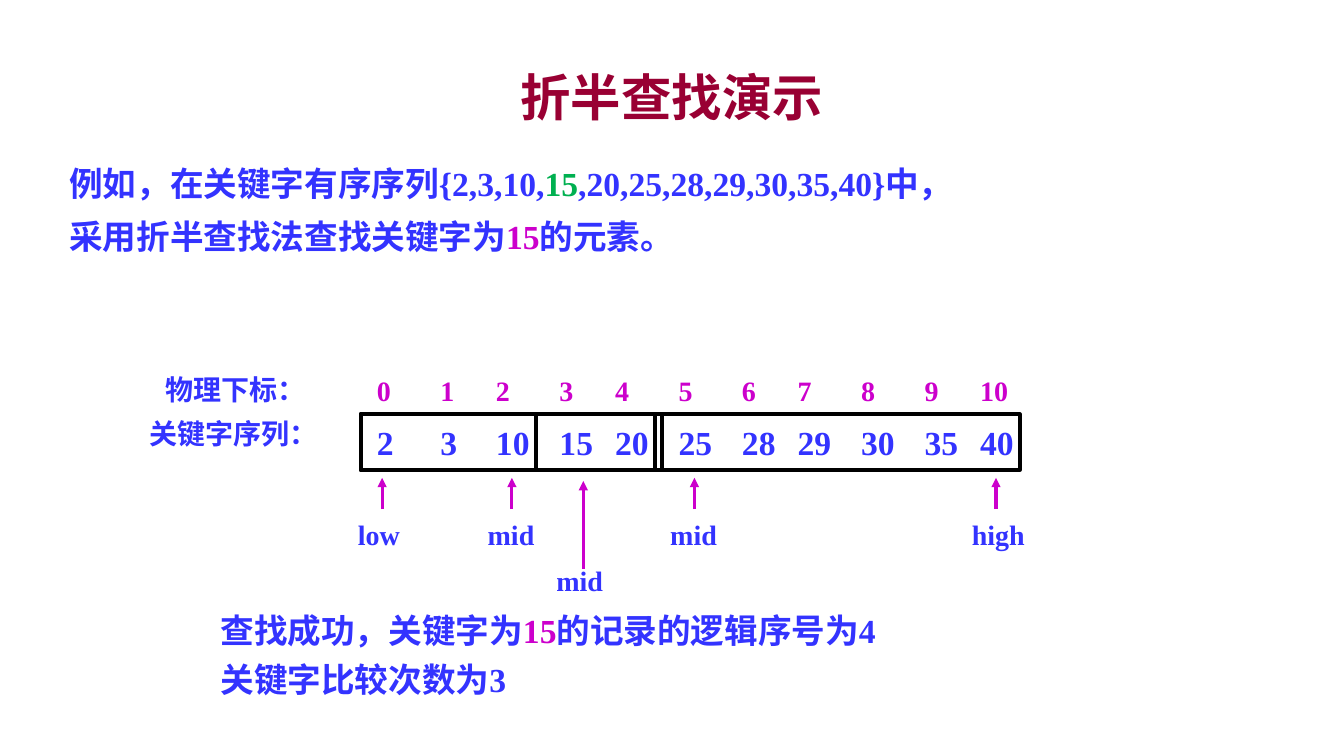
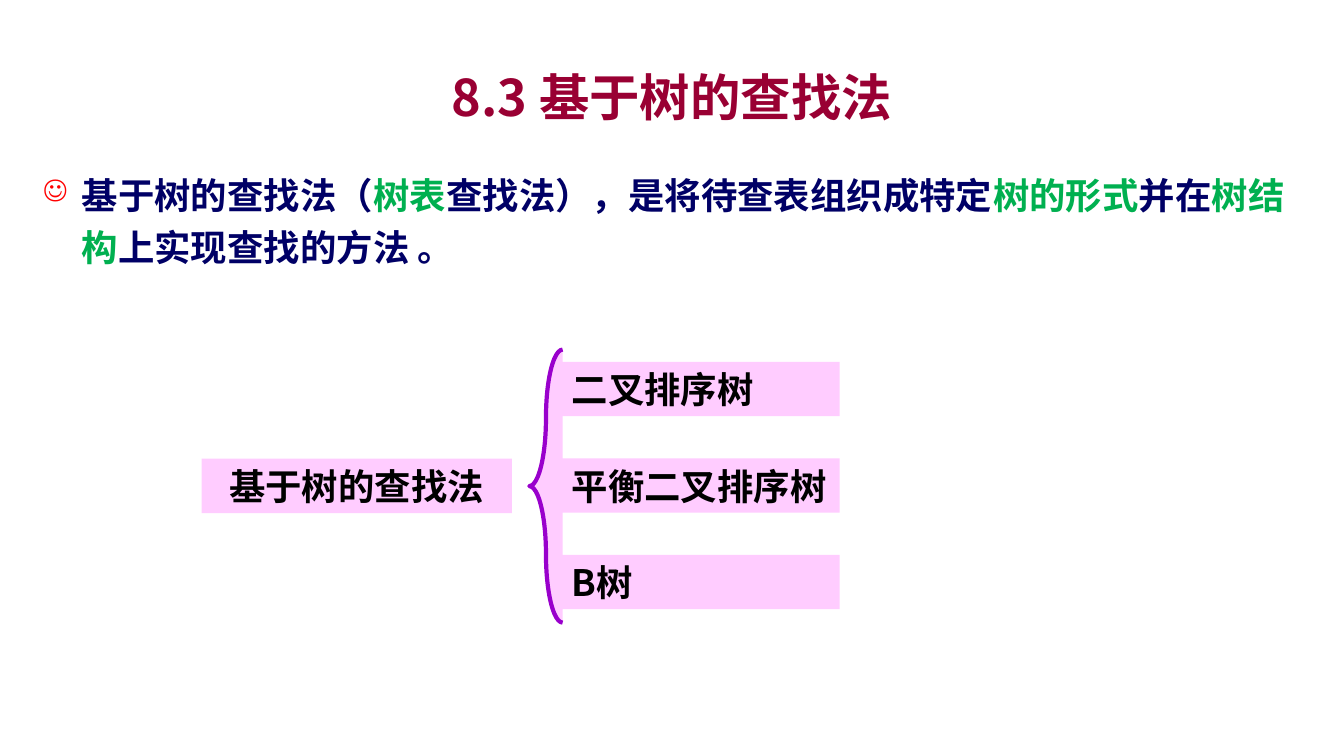
from dataclasses import dataclass
from itertools import accumulate
from typing import Any

from lxml.etree import SubElement
from pptx import Presentation
from pptx.dml.color import RGBColor
from pptx.enum.shapes import MSO_CONNECTOR, MSO_SHAPE
from pptx.enum.text import MSO_ANCHOR, PP_ALIGN
from pptx.oxml.ns import qn
from pptx.util import Cm, Pt

SANS = "Noto Sans CJK SC"
SERIF = "Times New Roman"
BLUE, MAGENTA, GREEN = "3333FF", "CC00CC", "00B050"
CRIMSON, NAVY, BLACK = "990033", "000066", "000000"
PINK, PURPLE, RED = "FFCCFF", "9900CC", "FF0000"


@dataclass(frozen=True)
class Box:
    left: float
    top: float
    width: float
    height: float

    def lengths(self) -> list[Cm]:
        return [Cm(v) for v in (self.left, self.top, self.width, self.height)]


@dataclass(frozen=True)
class Span:
    text: str
    color: str = BLUE


@dataclass(frozen=True)
class Style:
    size: float
    font: str = SERIF
    align: PP_ALIGN = PP_ALIGN.LEFT
    anchor: MSO_ANCHOR = MSO_ANCHOR.TOP
    spacing: float = 1.0
    inset: bool = True


@dataclass(frozen=True)
class Marker:
    name: str
    x: float
    tip: float = 12.04
    tail: float = 12.83
    label_left: float = 0.61
    label_top: float = 13.03


TITLE = Style(36, SANS, PP_ALIGN.CENTER, MSO_ANCHOR.MIDDLE)
EXAMPLE = Style(24, align=PP_ALIGN.JUSTIFY, spacing=1.1)
RESULT = Style(24)
ROW_NAME = Style(20)
KEY = Style(24, inset=False)
INDEX = Style(20, inset=False)
DEFINITION = Style(26, SANS, spacing=1.2)
ROOT = Style(26, SANS, PP_ALIGN.CENTER, MSO_ANCHOR.MIDDLE)
LEAF = Style(26, SANS, anchor=MSO_ANCHOR.MIDDLE)


def rgb(color: str) -> RGBColor:
    return RGBColor.from_string(color)


def set_format(target: Any, values: dict[str, Any]) -> None:
    for attribute, value in values.items():
        setattr(target, attribute, value)


def write(shape: Any, lines: list[list[Span]], style: Style) -> None:
    frame = shape.text_frame
    set_format(frame, {"word_wrap": True, "vertical_anchor": style.anchor})
    if not style.inset:
        set_format(frame, {f"margin_{side}": 0 for side in ("left", "top", "right", "bottom")})
    for number, spans in enumerate(lines):
        paragraph = frame.add_paragraph() if number else frame.paragraphs[0]
        set_format(paragraph, {
            "alignment": style.align,
            "line_spacing": style.spacing,
            "space_before": Pt(6 if number else 0),
        })
        for span in spans:
            run = paragraph.add_run()
            run.text = span.text
            set_format(run.font, {"name": style.font, "size": Pt(style.size), "bold": True})
            run.font.color.rgb = rgb(span.color)
            SubElement(run.font._element, qn("a:ea"), typeface=SANS)


def add_text(shapes: Any, box: Box, lines: list[list[Span]], style: Style) -> Any:
    text = shapes.add_textbox(*box.lengths())
    write(text, lines, style)
    return text


def add_figure(shapes: Any, kind: MSO_SHAPE, box: Box, fill: str = "", line: str = "") -> Any:
    figure = shapes.add_shape(kind, *box.lengths())
    figure.shadow.inherit = False
    if fill:
        figure.fill.solid()
        figure.fill.fore_color.rgb = rgb(fill)
    else:
        figure.fill.background()
    if line:
        figure.line.color.rgb = rgb(line)
        figure.line.width = Pt(3)
    else:
        figure.line.fill.background()
    return figure


def add_marker(shapes: Any, marker: Marker) -> None:
    group = shapes.add_group_shape().shapes
    arrow = group.add_connector(
        MSO_CONNECTOR.STRAIGHT, Cm(marker.x), Cm(marker.tail), Cm(marker.x), Cm(marker.tip)
    )
    arrow.line.color.rgb = rgb(MAGENTA)
    arrow.line.width = Pt(2.25)
    SubElement(arrow.line._get_or_add_ln(), qn("a:tailEnd"), type="triangle")
    SubElement(arrow._element.spPr, qn("a:effectLst"))
    label = Box(marker.x - marker.label_left, marker.label_top, 1.4, 0.84)
    add_text(group, label, [[Span(marker.name)]], INDEX)


def add_smile_bullet(paragraph: Any) -> None:
    properties = paragraph._p.get_or_add_pPr()
    indent = Cm(0.97)
    properties.set("marL", str(indent))
    properties.set("indent", str(-indent))
    color = SubElement(properties, qn("a:buClr"))
    SubElement(color, qn("a:srgbClr"), val=RED)
    SubElement(properties, qn("a:buSzPct"), val="80000")
    SubElement(properties, qn("a:buChar"), char="☺")


def start_slide(deck: Any, title: str) -> Any:
    shapes = deck.slides.add_slide(deck.slide_layouts[6]).shapes
    add_text(shapes, Box(2.54, 1.47, 28.78, 1.9), [[Span(title, CRIMSON)]], TITLE)
    return shapes


def build_search_demo(deck: Any) -> None:
    shapes = start_slide(deck, "折半查找演示")
    add_text(shapes, Box(1.5, 3.89, 29.64, 2.95), [
        [Span("例如，在关键字有序序列{2,3,10,"), Span("15", GREEN),
         Span(",20,25,28,29,30,35,40}中，")],
        [Span("采用折半查找法查找关键字为"), Span("15", MAGENTA), Span("的元素。")],
    ], EXAMPLE)
    add_text(shapes, Box(3.91, 9.25, 4.39, 1.12), [[Span("物理下标：")]], ROW_NAME)
    add_text(shapes, Box(3.51, 10.36, 5.59, 1.12), [[Span("关键字序列：")]], ROW_NAME)

    keys = (2, 3, 10, 15, 20, 25, 28, 29, 30, 35, 40)
    lefts = accumulate((1.6, 1.4, 1.6, 1.4, 1.6, 1.6, 1.4, 1.6, 1.6, 1.4), initial=9.5)
    for index, (key, left) in enumerate(zip(keys, lefts)):
        add_text(shapes, Box(left, 9.42, 0.81, 0.84), [[Span(str(index), MAGENTA)]], INDEX)
        add_text(shapes, Box(left, 10.62, 1, 1.02), [[Span(str(key))]], KEY)

    for left, width in ((9.09, 16.61), (9.09, 7.59), (13.51, 3)):
        add_figure(shapes, MSO_SHAPE.RECTANGLE, Box(left, 10.44, width, 1.4), line=BLACK)

    for marker in (
        Marker("low", 9.63),
        Marker("mid", 12.9),
        Marker("mid", 17.5),
        Marker("high", 25.1),
        Marker("mid", 14.7, 12.12, 14.33, 0.68, 14.2),
    ):
        add_marker(shapes, marker)

    add_text(shapes, Box(5.31, 15.24, 17.81, 2.82), [
        [Span("查找成功，关键字为"), Span("15", MAGENTA), Span("的记录的逻辑序号为4")],
        [Span("关键字比较次数为3")],
    ], RESULT)


def build_tree_overview(deck: Any) -> None:
    shapes = start_slide(deck, "8.3 基于树的查找法")
    definition = add_text(shapes, Box(0.84, 4.02, 32.18, 3.6), [[
        Span("基于树的查找法（", NAVY), Span("树表", GREEN),
        Span("查找法），是将待查表组织成特定", NAVY), Span("树的形式", GREEN),
        Span("并在", NAVY), Span("树结构", GREEN), Span("上实现查找的方法 。", NAVY),
    ]], DEFINITION)
    add_smile_bullet(definition.text_frame.paragraphs[0])

    diagram = shapes.add_group_shape().shapes
    root = add_figure(diagram, MSO_SHAPE.RECTANGLE, Box(5.08, 11.56, 7.82, 1.37), PINK)
    write(root, [[Span("基于树的查找法", BLACK)]], ROOT)
    brace = add_figure(diagram, MSO_SHAPE.LEFT_BRACE, Box(13.34, 8.81, 0.84, 6.88), PINK, PURPLE)
    brace.adjustments[0] = 2.83
    for row, name in enumerate(("二叉排序树", "平衡二叉排序树", "B树")):
        leaf = add_figure(
            diagram, MSO_SHAPE.RECTANGLE, Box(14.16, 9.12 + 2.43 * row, 7, 1.37), PINK
        )
        write(leaf, [[Span(name, BLACK)]], LEAF)


def main() -> None:
    deck = Presentation()
    set_format(deck, {"slide_width": Cm(33.87), "slide_height": Cm(19.05)})
    build_search_demo(deck)
    build_tree_overview(deck)
    deck.save("out.pptx")


if __name__ == "__main__":
    main()
